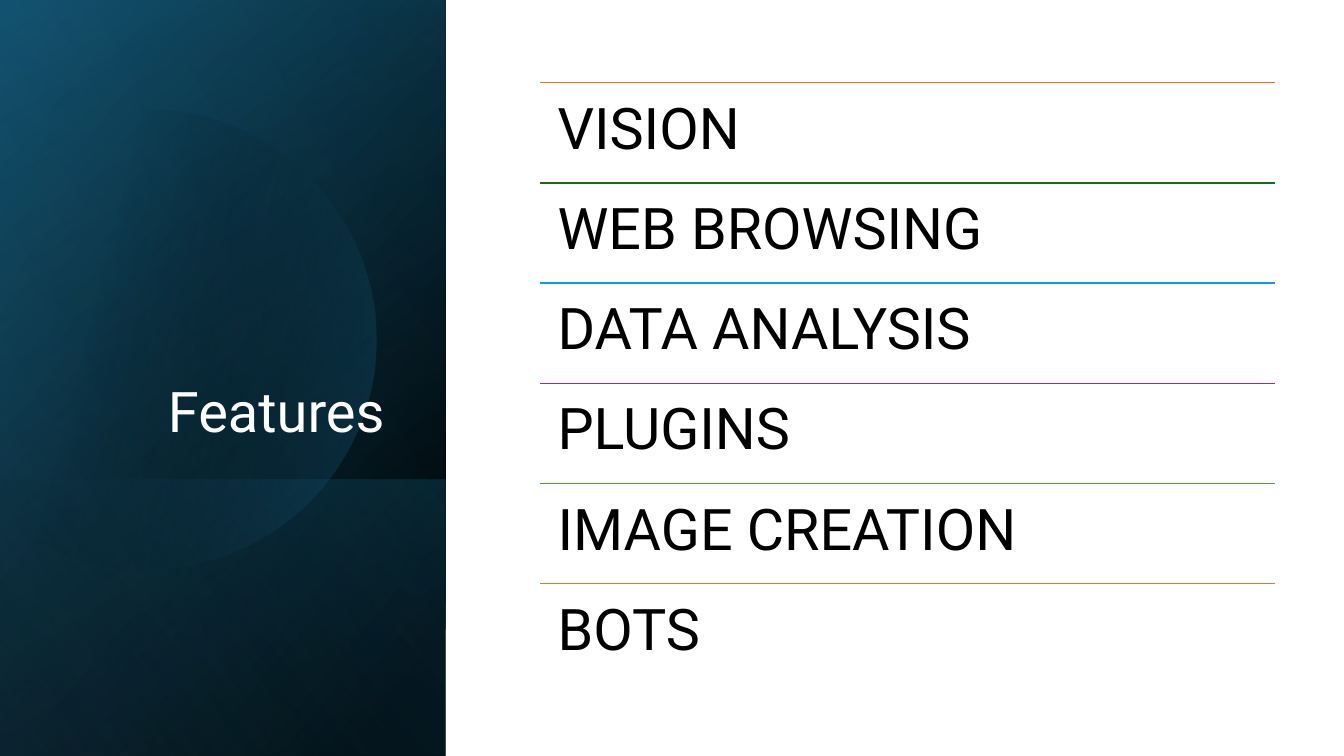
from math import acos, cos, degrees, radians, sin

from lxml.etree import SubElement
from pptx import Presentation
from pptx.dml.color import RGBColor
from pptx.enum.shapes import MSO_CONNECTOR, MSO_SHAPE
from pptx.enum.text import MSO_ANCHOR, PP_ALIGN
from pptx.oxml.ns import qn
from pptx.util import Inches, Pt

THEME = {
    "font": "Roboto",
    "title_size": 40,
    "feature_size": 41,
    "title_color": "FFFFFF",
    "feature_color": "000000",
    "dark": "000000",
    "deep": "104862",
    "teal": "156082",
    "sky": "46B1E1",
    "rules": ["E97132", "196B24", "0F9ED5", "A02B93", "4EA72E"],
}
FEATURES = ["VISION", "WEB BROWSING", "DATA ANALYSIS",
            "PLUGINS", "IMAGE CREATION", "BOTS"]

# Layout grid, in inches
WIDTH, HEIGHT = 13.33, 7.5
PANEL_WIDTH = 4.42
LIST_LEFT, LIST_TOP, LIST_WIDTH = 5.36, 0.82, 7.29
ROW_HEIGHT = 0.994


def paint_gradient(shape, angle, stops):
    """Fill with (position %, colour name, opacity %) stops and drop the outline."""
    shape.shadow.inherit = False
    shape.line.fill.background()
    shape.fill.gradient()
    gradient = shape._element.spPr.find(qn("a:gradFill"))
    gradient.clear()
    gradient.set("rotWithShape", "1")
    stop_list = SubElement(gradient, qn("a:gsLst"))
    for position, color, opacity in stops:
        stop = SubElement(stop_list, qn("a:gs"), pos=str(position * 1000))
        tint = SubElement(stop, qn("a:srgbClr"), val=THEME[color])
        SubElement(tint, qn("a:alpha"), val=str(opacity * 1000))
    SubElement(gradient, qn("a:lin"), ang=str(angle * 60000), scaled="0")


def add_text(box, text, size, color, margins, anchor, alignment):
    box = slide.shapes.add_textbox(*[Inches(length) for length in box])
    frame = box.text_frame
    frame.word_wrap = True
    frame.vertical_anchor = anchor
    frame.margin_left = frame.margin_right = Inches(margins[0])
    frame.margin_top = frame.margin_bottom = Inches(margins[1])
    frame.text = text
    paragraph = frame.paragraphs[0]
    paragraph.alignment = alignment
    paragraph.line_spacing = 0.9
    font = paragraph.runs[0].font
    font.name = THEME["font"]
    font.size = Pt(THEME[size])
    font.color.rgb = RGBColor.from_string(THEME[color])


presentation = Presentation()
presentation.slide_width = Inches(WIDTH)
presentation.slide_height = Inches(HEIGHT)
slide = presentation.slides.add_slide(presentation.slide_layouts[6])

# Left panel: stacked gradient layers, each bottom-aligned and turned a quarter
disc_layer = "disc"
layers = [
    (HEIGHT, 50, [(8, "dark", 100), (100, "deep", 100)]),
    (HEIGHT, 30, [(0, "dark", 0), (99, "teal", 46)]),
    (2.74, 130, [(2, "teal", 29), (100, "dark", 30)]),
    (disc_layer, 14, [(29, "dark", 0), (100, "teal", 43)]),
    (HEIGHT, 120, [(0, "dark", 0), (99, "sky", 11)]),
]
for height, angle, stops in layers:
    if height == disc_layer:
        # Disc cut off by the left edge of the slide
        center_x, center_y, radius = 1.45, 3.37, 2.28
        limit = degrees(acos(-center_x / radius))
        turns = [radians(limit * step / 60) for step in range(-60, 61)]
        points = [(Inches(max(0, center_x + radius * cos(turn))),
                   Inches(center_y + radius * sin(turn))) for turn in turns]
        builder = slide.shapes.build_freeform(*points[0])
        builder.add_line_segments(points[1:], close=True)
        shape = builder.convert_to_shape()
    else:
        shape = slide.shapes.add_shape(
            MSO_SHAPE.RECTANGLE,
            Inches((PANEL_WIDTH - height) / 2),
            Inches(HEIGHT - (height + PANEL_WIDTH) / 2),
            Inches(height), Inches(PANEL_WIDTH))
        shape.rotation = 90
        shape._element.spPr.find(qn("a:xfrm")).set("flipH", "1")
    paint_gradient(shape, angle, stops)

# Title
add_text((0.64, 1.84, 3.41, 2.62), "Features ", "title_size", "title_color",
         (0.1, 0.05), MSO_ANCHOR.BOTTOM, PP_ALIGN.RIGHT)

# Feature list: a coloured rule above each row
for row, feature in enumerate(FEATURES):
    top = LIST_TOP + row * ROW_HEIGHT
    rule = slide.shapes.add_connector(
        MSO_CONNECTOR.STRAIGHT, Inches(LIST_LEFT), Inches(top),
        Inches(LIST_LEFT + LIST_WIDTH), Inches(top))
    rule.line.width = Pt(1)
    rule.line.color.rgb = RGBColor.from_string(
        THEME["rules"][row % len(THEME["rules"])])
    SubElement(rule._element.spPr, qn("a:effectLst"))
    add_text((LIST_LEFT, top, LIST_WIDTH, ROW_HEIGHT), feature,
             "feature_size", "feature_color", (0.17, 0.17),
             MSO_ANCHOR.TOP, PP_ALIGN.LEFT)

presentation.save("out.pptx")
